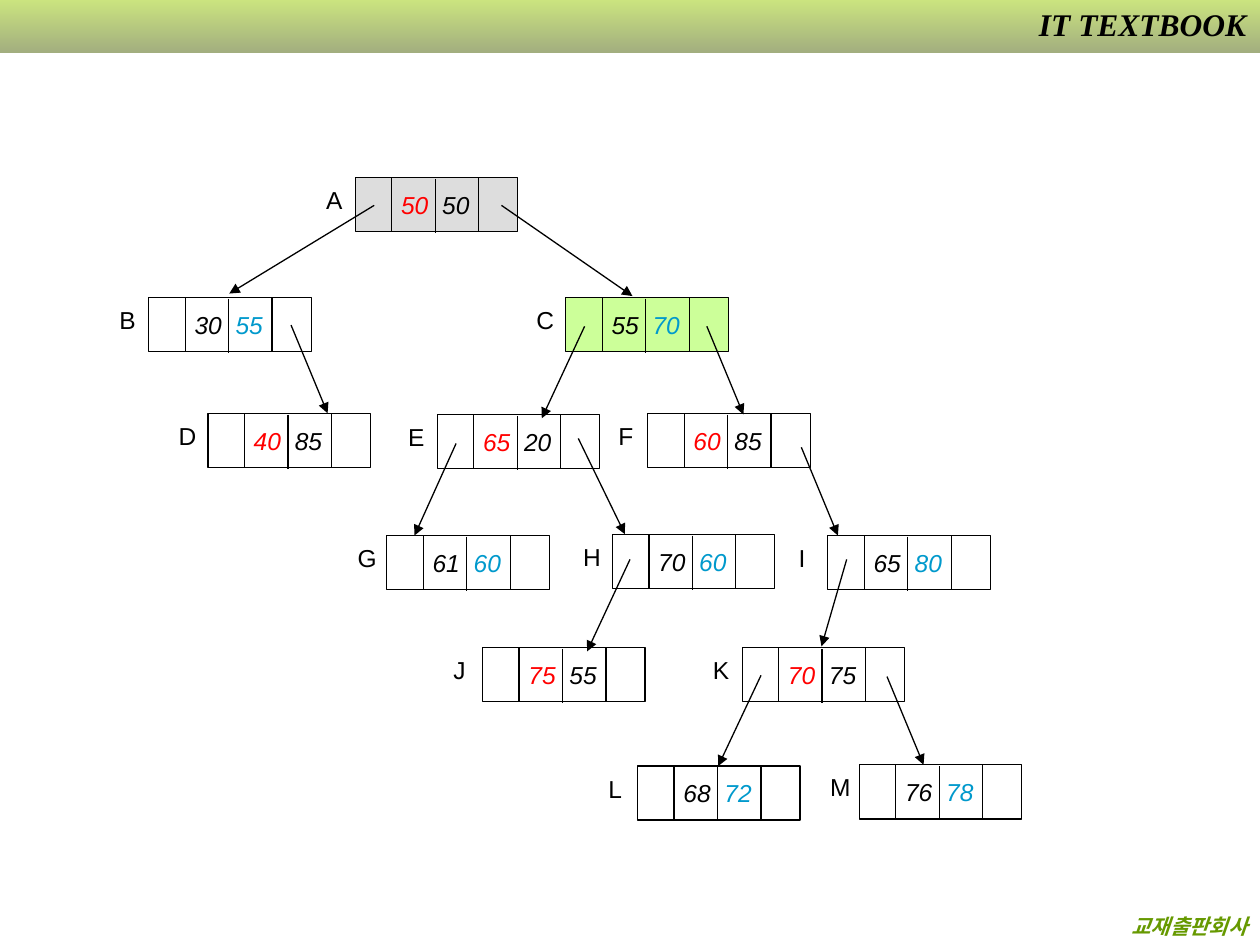
from lxml.etree import SubElement as Sub
from pptx import Presentation
from pptx.dml.color import RGBColor
from pptx.enum.shapes import MSO_CONNECTOR as Link, MSO_SHAPE as Shape
from pptx.enum.text import MSO_ANCHOR as Anchor, PP_ALIGN as Align
from pptx.oxml.ns import qn
from pptx.util import Inches, Pt

HEX = {
    "black": "000000", "red": "FF0000", "blue": "0099CC",
    "gray": "DDDDDD", "lime": "CCFF99", "green": "669900",
    "top": "99CC00", "base": "475E00",
}

# name, left, top, two keys, colours of the keys, fill
NODES = [
    ("A", 2.82, 1.41, ("50", "50"), ("red", "black"), "gray"),
    ("C", 4.49, 2.36, ("55", "70"), ("black", "blue"), "lime"),
    ("B", 1.18, 2.36, ("30", "55"), ("black", "blue"), None),
    ("E", 3.47, 3.29, ("65", "20"), ("red", "black"), None),
    ("F", 5.14, 3.28, ("60", "85"), ("red", "black"), None),
    ("G", 3.07, 4.25, ("61", "60"), ("black", "blue"), None),
    ("D", 1.65, 3.28, ("40", "85"), ("red", "black"), None),
    ("H", 4.86, 4.24, ("70", "60"), ("black", "blue"), None),
    ("J", 3.83, 5.14, ("75", "55"), ("red", "black"), None),
    ("K", 5.89, 5.14, ("70", "75"), ("red", "black"), None),
    ("I", 6.57, 4.25, ("65", "80"), ("black", "blue"), None),
    ("M", 6.82, 6.07, ("76", "78"), ("black", "blue"), None),
    ("L", 5.06, 6.08, ("68", "72"), ("black", "blue"), None),
]

# start and end of each arrow, parent to child
EDGES = [
    ((2.97, 1.63), (1.82, 2.33)),  # A-B
    ((3.98, 1.63), (5.02, 2.35)),  # A-C
    ((2.31, 2.58), (2.60, 3.28)),  # B-D
    ((4.64, 2.59), (4.30, 3.32)),  # C-E
    ((5.61, 2.59), (5.90, 3.29)),  # C-F
    ((3.62, 3.52), (3.29, 4.25)),  # E-G
    ((4.59, 3.48), (4.96, 4.24)),  # E-H
    ((6.36, 3.55), (6.65, 4.25)),  # F-I
    ((5.00, 4.44), (4.66, 5.17)),  # H-J
    ((6.72, 4.44), (6.52, 5.13)),  # I-K
    ((6.04, 5.36), (5.70, 6.08)),  # K-L
    ((7.04, 5.37), (7.33, 6.07)),  # K-M
]

NODE_W, NODE_H = 1.29, 0.43
KEY_X, KEY_W = 0.29, 0.69
LABEL_W, LABEL_H = 0.33, 0.34


def color(name):
    return RGBColor.from_string(HEX[name])


def add_run(para, text, size, tint, face="Arial", bold=False, italic=False):
    run = para.add_run()
    run.text = text
    font = run.font
    font.name, font.size = face, Pt(size)
    font.bold, font.italic = bold, italic
    font.color.rgb = color(tint)
    return run


def add_rect(shapes, x, y, w, h, fill=None):
    rect = shapes.add_shape(Shape.RECTANGLE, *map(Inches, (x, y, w, h)))
    rect.shadow.inherit = False
    if fill:
        rect.fill.solid()
        rect.fill.fore_color.rgb = color(fill)
    else:
        rect.fill.background()
    rect.line.color.rgb = color("black")
    rect.line.width = Pt(0.75)
    return rect


def add_line(shapes, start, end, arrow=False):
    line = shapes.add_connector(Link.STRAIGHT, *map(Inches, start + end))
    line.line.color.rgb = color("black")
    line.line.width = Pt(0.75)
    if arrow:
        Sub(line.line._get_or_add_ln(), qn("a:tailEnd"), type="triangle")
    Sub(line._element.spPr, qn("a:effectLst"))


def add_text(shapes, x, y, w, h, wrap=True):
    """Add an empty text box and return its first paragraph."""
    frame = shapes.add_textbox(*map(Inches, (x, y, w, h))).text_frame
    frame.word_wrap = wrap
    return frame.paragraphs[0]


def add_node(slide, name, x, y, keys, tints, fill):
    shapes = slide.shapes.add_group_shape().shapes
    add_rect(shapes, x, y, NODE_W, NODE_H, fill)

    frame = add_rect(shapes, x + KEY_X, y, KEY_W, NODE_H).text_frame
    frame.word_wrap = False
    frame.vertical_anchor = Anchor.MIDDLE
    para = frame.paragraphs[0]
    para.alignment = Align.CENTER
    add_run(para, keys[0], 14, tints[0], italic=True)
    gap = add_run(para, " ", 14, tints[0], italic=True)
    gap.font._element.set("spc", "390")  # widens the space between keys
    add_run(para, keys[1], 14, tints[1], italic=True)

    mid = x + KEY_X + KEY_W / 2
    add_line(shapes, (mid, y + 0.01), (mid, y + 0.44))
    label = add_text(shapes, x - LABEL_W, y + 0.01, LABEL_W, LABEL_H, False)
    add_run(label, name, 14, "black")


def add_band(slide):
    band = add_rect(slide.shapes, 0, 0, 10, 0.42)
    band.line.fill.background()
    band.fill.gradient()
    band.fill.gradient_angle = 270
    for stop, tint, pos in zip(band.fill.gradient_stops, ("top", "base"), (0, 1)):
        stop.color.rgb = color(tint)
        stop.position = pos
    for tone in band._element.spPr.find(qn("a:gradFill")).iter(qn("a:srgbClr")):
        Sub(tone, qn("a:alpha"), val="50000")


def add_mark(slide, text, size, tint, box):
    para = add_text(slide.shapes, *box)
    para.alignment = Align.RIGHT
    return add_run(para, text, size, tint, "Times New Roman", True, True)


def add_glow(run):
    """Give the run a white drop shadow."""
    fx = run.font._element.makeelement(qn("a:effectLst"))
    run.font._element.find(qn("a:solidFill")).addnext(fx)
    drop = Sub(fx, qn("a:outerShdw"), dist="25400", dir="2700000")
    Sub(drop, qn("a:srgbClr"), val="FFFFFF")


def main():
    deck = Presentation()
    deck.slide_width, deck.slide_height = Inches(10), Inches(7.5)
    slide = deck.slides.add_slide(deck.slide_layouts[6])
    add_band(slide)
    add_mark(slide, "교재출판회사", 12, "green", (0.06, 7.2, 9.94, 0.3))
    add_glow(add_mark(slide, "IT TEXTBOOK", 18, "black", (7.88, -0.01, 2.11, 0.4)))
    for node in NODES:
        add_node(slide, *node)
    for start, end in EDGES:
        add_line(slide.shapes, start, end, arrow=True)
    deck.save("out.pptx")


if __name__ == "__main__":
    main()
